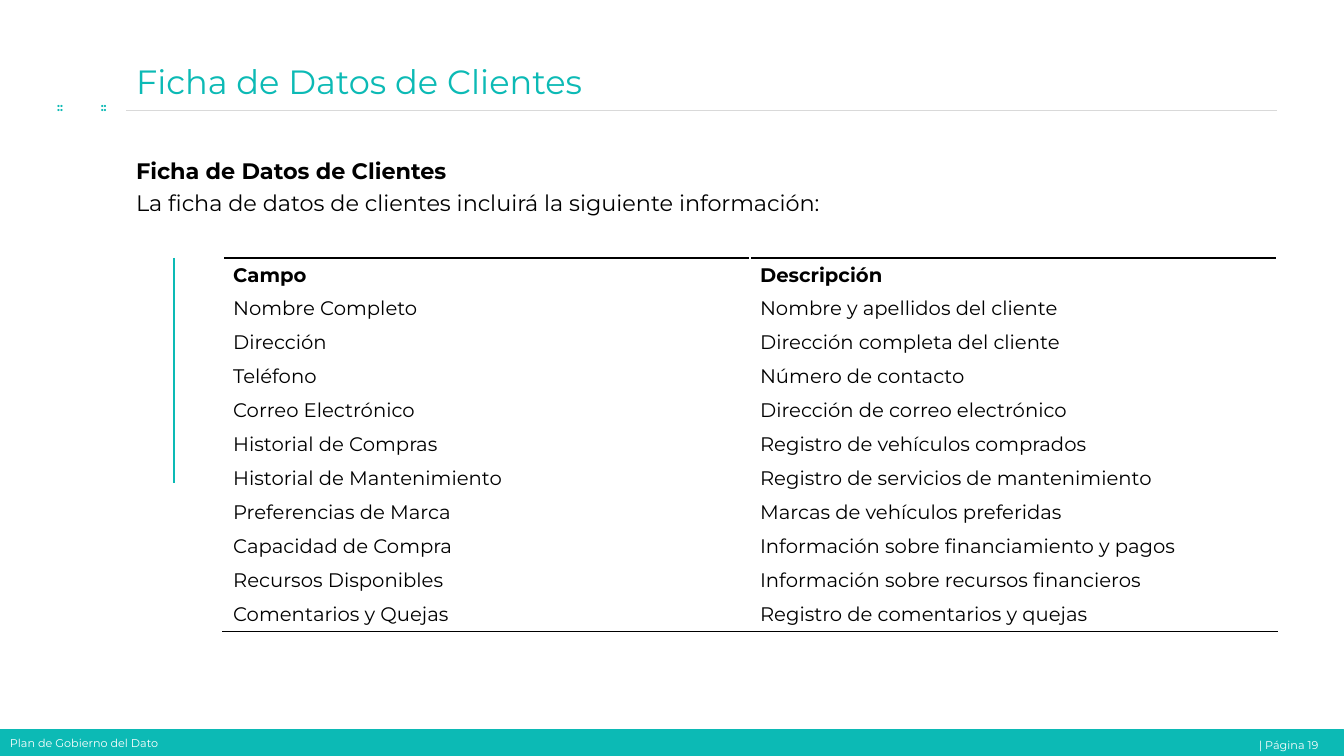
from lxml import etree
from pptx import Presentation
from pptx.dml.color import RGBColor
from pptx.enum.shapes import MSO_CONNECTOR as Connector, MSO_SHAPE as Shape
from pptx.enum.text import MSO_ANCHOR as Anchor, MSO_AUTO_SIZE as AutoSize, PP_ALIGN as Align
from pptx.oxml.ns import qn
from pptx.util import Cm, Pt

COLORS = {"teal": "0CBAB5", "white": "FFFFFF", "black": "000000", "gray": "D9D9D9"}
FONT = "Montserrat"
TITLE = "Ficha de Datos de Clientes"
FIELDS = [
    ("Campo", "Descripción"),
    ("Nombre Completo", "Nombre y apellidos del cliente"),
    ("Dirección", "Dirección completa del cliente"),
    ("Teléfono", "Número de contacto"),
    ("Correo Electrónico", "Dirección de correo electrónico"),
    ("Historial de Compras", "Registro de vehículos comprados"),
    ("Historial de Mantenimiento", "Registro de servicios de mantenimiento"),
    ("Preferencias de Marca", "Marcas de vehículos preferidas"),
    ("Capacidad de Compra", "Información sobre financiamiento y pagos"),
    ("Recursos Disponibles", "Información sobre recursos financieros"),
    ("Comentarios y Quejas", "Registro de comentarios y quejas"),
]


def rgb(name):
    return RGBColor.from_string(COLORS[name])


class SlideBuilder:
    """Holds the fonts and colours and draws on one slide; lengths are in cm."""

    def __init__(self, slide):
        self.slide = slide

    def fill_paragraph(self, paragraph, text, size, color, bold=False):
        paragraph.text = text
        for run in paragraph.runs:
            run.font.name = FONT
            run.font.size = Pt(size)
            run.font.bold = bold
            run.font.color.rgb = rgb(color)

    def text(self, box, lines, size, color, wrap=True, anchor=Anchor.TOP,
             align=Align.LEFT, space_before=0, auto_size=AutoSize.NONE):
        """Add a text box; lines holds (text, bold) pairs."""
        shape = self.slide.shapes.add_textbox(*map(Cm, box))
        frame = shape.text_frame
        frame.word_wrap = wrap
        frame.auto_size = auto_size
        frame.vertical_anchor = anchor
        for index, (text, bold) in enumerate(lines):
            paragraph = frame.add_paragraph() if index else frame.paragraphs[0]
            paragraph.alignment = align
            paragraph.space_before = Pt(space_before)
            self.fill_paragraph(paragraph, text, size, color, bold)

    def bar(self, box, text, size):
        shape = self.slide.shapes.add_shape(Shape.RECTANGLE, *map(Cm, box))
        shape.shadow.inherit = False
        shape.fill.solid()
        shape.fill.fore_color.rgb = rgb("teal")
        shape.line.color.rgb = rgb("teal")
        shape.line.width = Pt(0.75)
        shape.text_frame.vertical_anchor = Anchor.MIDDLE
        paragraph = shape.text_frame.paragraphs[0]
        paragraph.alignment = Align.LEFT
        self.fill_paragraph(paragraph, text, size, "white")

    def line(self, ends, color, width):
        line = self.slide.shapes.add_connector(Connector.STRAIGHT, *map(Cm, ends))
        line.line.color.rgb = rgb(color)
        line.line.width = Pt(width)
        etree.SubElement(line._element.spPr, qn("a:effectLst"))

    def border(self, cell, side, color, width):
        properties = cell._tc.get_or_add_tcPr()
        edge = etree.Element(qn(f"a:ln{side}"), w=str(Pt(width)))
        fill = etree.SubElement(edge, qn("a:solidFill"))
        etree.SubElement(fill, qn("a:srgbClr"), val=COLORS[color])
        properties.insert(0, edge)

    def table(self, box, rows, size):
        """Add a plain table with a bold header and rules above and below."""
        left, top, width, height = map(Cm, box)
        table = self.slide.shapes.add_table(
            len(rows), len(rows[0]), left, top, width, height).table
        table.first_row = table.horz_banding = False
        last = len(rows) - 1
        for row_index, texts in enumerate(rows):
            for column_index, text in enumerate(texts):
                cell = table.cell(row_index, column_index)
                cell.fill.background()
                cell.vertical_anchor = Anchor.MIDDLE
                self.fill_paragraph(cell.text_frame.paragraphs[0], text, size, "black",
                                    bold=row_index == 0)
                if row_index == 0:
                    self.border(cell, "T", "black", 1)
                if row_index == last:
                    self.border(cell, "B", "black", 1)


def main():
    presentation = Presentation()
    presentation.slide_width = Cm(33.87)
    presentation.slide_height = Cm(19.05)
    builder = SlideBuilder(presentation.slides.add_slide(presentation.slide_layouts[6]))

    builder.bar((0, 18.39, 33.87, 0.66), "Plan de Gobierno del Dato", 8)
    builder.text((27.61, 18.47, 5.87, 0.6), [("| Página 19", False)], 8, "white",
                 align=Align.RIGHT, auto_size=AutoSize.SHAPE_TO_FIT_TEXT)
    builder.line((32.18, 2.78, 3.18, 2.78), "gray", 0.25)
    for left in (1.19, 2.29):
        builder.text((left, 2.41, 0.69, 0.6), [("::", True)], 8, "teal", wrap=False,
                     auto_size=AutoSize.SHAPE_TO_FIT_TEXT)

    builder.text((3.18, 1.42, 27.56, 1.27), [(TITLE, False)], 24, "teal",
                 anchor=Anchor.MIDDLE)
    builder.line((4.39, 6.5, 4.39, 12.17), "teal", 1.5)
    introduction = "La ficha de datos de clientes incluirá la siguiente información:"
    builder.text((3.18, 3.84, 29, 13.18), [(TITLE, True), (introduction, False)],
                 16, "black", space_before=3.2)
    builder.table((5.62, 6.5, 26.56, 9.42), FIELDS, 14)

    presentation.save("out.pptx")


if __name__ == "__main__":
    main()
